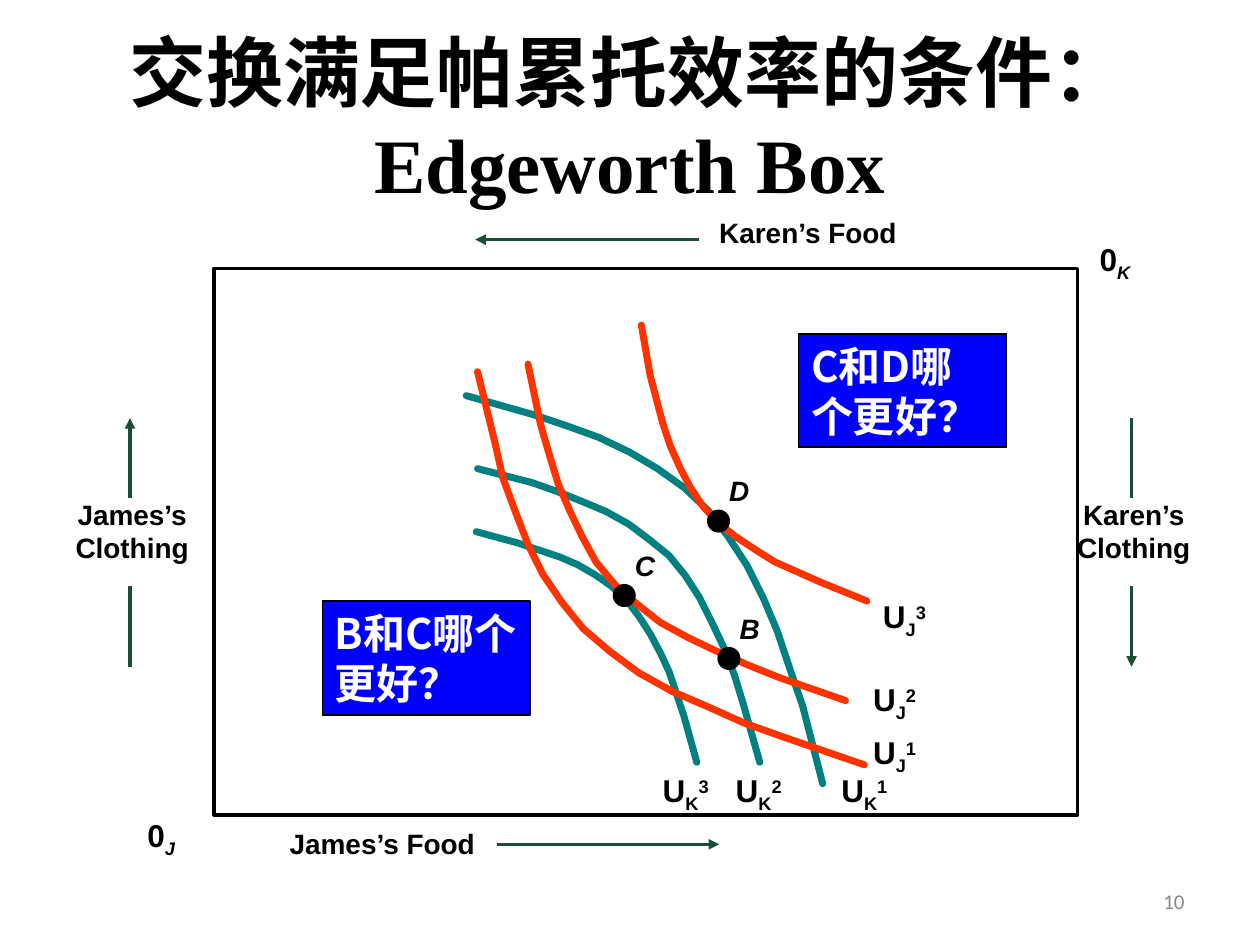
from lxml import etree
from pptx import Presentation
from pptx.dml.color import RGBColor
from pptx.enum.shapes import MSO_CONNECTOR, MSO_SHAPE
from pptx.enum.text import MSO_ANCHOR, PP_ALIGN
from pptx.oxml.ns import qn
from pptx.util import Cm, Pt

STRAIGHT = MSO_CONNECTOR.STRAIGHT
RECTANGLE, OVAL = MSO_SHAPE.RECTANGLE, MSO_SHAPE.OVAL
TOP, MIDDLE = MSO_ANCHOR.TOP, MSO_ANCHOR.MIDDLE
LEFT, CENTER, RIGHT = PP_ALIGN.LEFT, PP_ALIGN.CENTER, PP_ALIGN.RIGHT

BLACK = RGBColor(0x00, 0x00, 0x00)
WHITE = RGBColor(0xFF, 0xFF, 0xFF)
GRAY = RGBColor(0x89, 0x89, 0x89)
BLUE = RGBColor(0x00, 0x00, 0xFF)
GREEN = RGBColor(0x1C, 0x4E, 0x35)
TEAL = RGBColor(0x00, 0x80, 0x80)
ORANGE = RGBColor(0xFF, 0x33, 0x00)
CHINESE_FONT = "Noto Sans CJK SC"
CURVE_UNIT = Cm(2.54) / 100  # curve points are hundredths of an inch

deck = Presentation()
deck.slide_width, deck.slide_height = Cm(25.4), Cm(19.05)
page = deck.slides.add_slide(deck.slide_layouts[6])
shapes = page.shapes


def write(box, spans, size=16, font="Arial", color=BLACK, bold=True,
          align=LEFT, anchor=TOP, wrap=False):
    """Fill one paragraph from (text, changes) spans; changes may set
    font, italic and baseline (thousandths of a percent)."""
    frame = box.text_frame
    frame.word_wrap = wrap
    frame.vertical_anchor = anchor
    para = frame.paragraphs[0]
    if para.runs:
        para = frame.add_paragraph()
    para.alignment = align
    for text, changes in spans:
        span = para.add_run()
        span.text = text
        span.font.name = changes.get("font", font)
        span.font.size = Pt(size)
        span.font.bold = bold
        span.font.italic = changes.get("italic", False)
        span.font.color.rgb = color
        properties = span.font._element
        if "baseline" in changes:
            properties.set("baseline", str(changes["baseline"]))
        east_asian = etree.Element(qn("a:ea"), typeface=CHINESE_FONT)
        properties.find(qn("a:latin")).addnext(east_asian)


def add_text(left, top, width, height, spans, **text_format):
    box = shapes.add_textbox(Cm(left), Cm(top), Cm(width), Cm(height))
    write(box, spans, **text_format)
    return box


# Title and slide number
add_text(1.27, 0.76, 22.86, 3.18,
         [("交换满足帕累托效率的条件：", {}),
          ("Edgeworth Box", {"font": "Times New Roman"})],
         size=44, font="Calibri", align=CENTER, anchor=MIDDLE, wrap=True)
add_text(18.21, 17.65, 5.92, 1.02, [("10", {})], size=12, font="Calibri",
         color=GRAY, bold=False, align=RIGHT, anchor=MIDDLE, wrap=True)

# Axis names
for left, owner in ((21.46, "Karen’s"), (1.27, "James’s")):
    axis_name = add_text(left, 9.9, 2.79, 1.6, [(owner, {})], align=CENTER)
    write(axis_name, [("Clothing", {})], align=CENTER)
add_text(14.25, 4.22, 4.09, 0.91, [("Karen’s Food", {})])
add_text(5.59, 16.53, 4.27, 0.91, [("James’s Food", {})])

# Axis arrows: start, end, has arrowhead
for x1, y1, x2, y2, has_head in (
    (22.81, 8.43, 22.81, 10.03, False),
    (22.81, 11.81, 22.81, 13.44, True),
    (2.62, 13.44, 2.62, 11.81, False),
    (2.62, 10.03, 2.62, 8.43, True),
    (14.1, 4.83, 9.58, 4.83, True),
    (10.01, 17.02, 14.5, 17.02, True),
):
    arrow = shapes.add_connector(STRAIGHT, Cm(x1), Cm(y1), Cm(x2), Cm(y2))
    arrow.line.color.rgb = GREEN
    arrow.line.width = Pt(2)
    properties = arrow.element.spPr
    if has_head:
        etree.SubElement(properties.find(qn("a:ln")), qn("a:tailEnd"), type="triangle")
    etree.SubElement(properties, qn("a:effectLst"))

# Indifference curves
KAREN_CURVES = (
    ((370, 314), (423, 329), (450, 338), (475, 347), (500, 359), (522, 372),
     (543, 387), (562, 405), (578, 426), (593, 449), (606, 475), (617, 501),
     (627, 531), (637, 560), (653, 622)),
    ((379, 372), (422, 383), (442, 390), (462, 398), (481, 406), (499, 416),
     (515, 428), (531, 441), (544, 457), (555, 474), (565, 494), (575, 515),
     (583, 536), (590, 559), (603, 605)),
    ((378, 422), (411, 431), (444, 442), (458, 448), (472, 456), (485, 465),
     (497, 476), (507, 489), (516, 503), (524, 518), (531, 533), (543, 569),
     (553, 605)),
)
JAMES_CURVES = (
    ((379, 295), (393, 352), (399, 379), (409, 406), (419, 432), (431, 456),
     (446, 478), (463, 499), (484, 517), (507, 534), (534, 549), (562, 561),
     (591, 574), (622, 585), (686, 607)),
    ((419, 289), (429, 337), (436, 361), (443, 384), (452, 405), (462, 426),
     (473, 446), (488, 464), (505, 479), (524, 494), (546, 506), (569, 517),
     (594, 528), (619, 538), (671, 556)),
    ((509, 258), (516, 298), (526, 336), (532, 354), (540, 372), (548, 387),
     (558, 402), (570, 415), (584, 426), (599, 436), (615, 446), (651, 462),
     (688, 477)),
)
for color, curves in ((TEAL, KAREN_CURVES), (ORANGE, JAMES_CURVES)):
    for start, *rest in curves:
        builder = shapes.build_freeform(*start, scale=CURVE_UNIT)
        builder.add_line_segments(rest, close=False)
        curve = builder.convert_to_shape()
        curve.shadow.inherit = False
        curve.fill.background()
        curve.line.color.rgb = color
        curve.line.width = Pt(4)
        outline = curve.element.spPr.find(qn("a:ln"))
        outline.set("cap", "rnd")
        etree.SubElement(outline, qn("a:round"))

for owner, level, left, top in (
    ("K", "1", 16.71, 15.42), ("K", "2", 14.58, 15.42), ("K", "3", 13.11, 15.42),
    ("J", "1", 17.35, 14.66), ("J", "2", 17.35, 13.59), ("J", "3", 17.55, 11.91),
):
    add_text(left, top, 1.6, 1.12,
             [("U", {}), (owner, {"baseline": -25000}), (level, {"baseline": 30000})],
             size=18)

# Allocations
for name, left, top in (("D", 14.27, 10.29), ("C", 12.37, 11.79), ("B", 14.48, 13.06)):
    dot = shapes.add_shape(OVAL, Cm(left), Cm(top), Cm(0.43), Cm(0.43))
    dot.shadow.inherit = False
    dot.fill.solid()
    dot.fill.fore_color.rgb = BLACK
    dot.line.color.rgb = BLACK
    dot.line.width = Pt(1)
    add_text(left + 0.18, top - 0.86, 0.91, 0.91, [(name, {"italic": True})])

# Origins and frame of the box
for owner, left, top in (("J", 2.72, 16.33), ("K", 21.92, 4.72)):
    add_text(left, top, 1.3, 1.12,
             [("0", {}), (owner, {"italic": True, "baseline": -25000})], size=18)
edgeworth_box = shapes.add_shape(RECTANGLE, Cm(4.32), Cm(5.41), Cm(17.4), Cm(11.02))
edgeworth_box.shadow.inherit = False
edgeworth_box.fill.background()
edgeworth_box.line.color.rgb = BLACK
edgeworth_box.line.width = Pt(2)

# Questions
for question, left, top in (("B和C哪个更好？", 6.5, 12.12), ("C和D哪个更好？", 16.1, 6.73)):
    panel = shapes.add_shape(RECTANGLE, Cm(left), Cm(top), Cm(4.19), Cm(2.29))
    panel.shadow.inherit = False
    panel.fill.solid()
    panel.fill.fore_color.rgb = BLUE
    panel.line.color.rgb = BLACK
    panel.line.width = Pt(1)
    write(panel, [(question, {})], size=24, font=CHINESE_FONT, color=WHITE, wrap=True)

deck.save("out.pptx")
